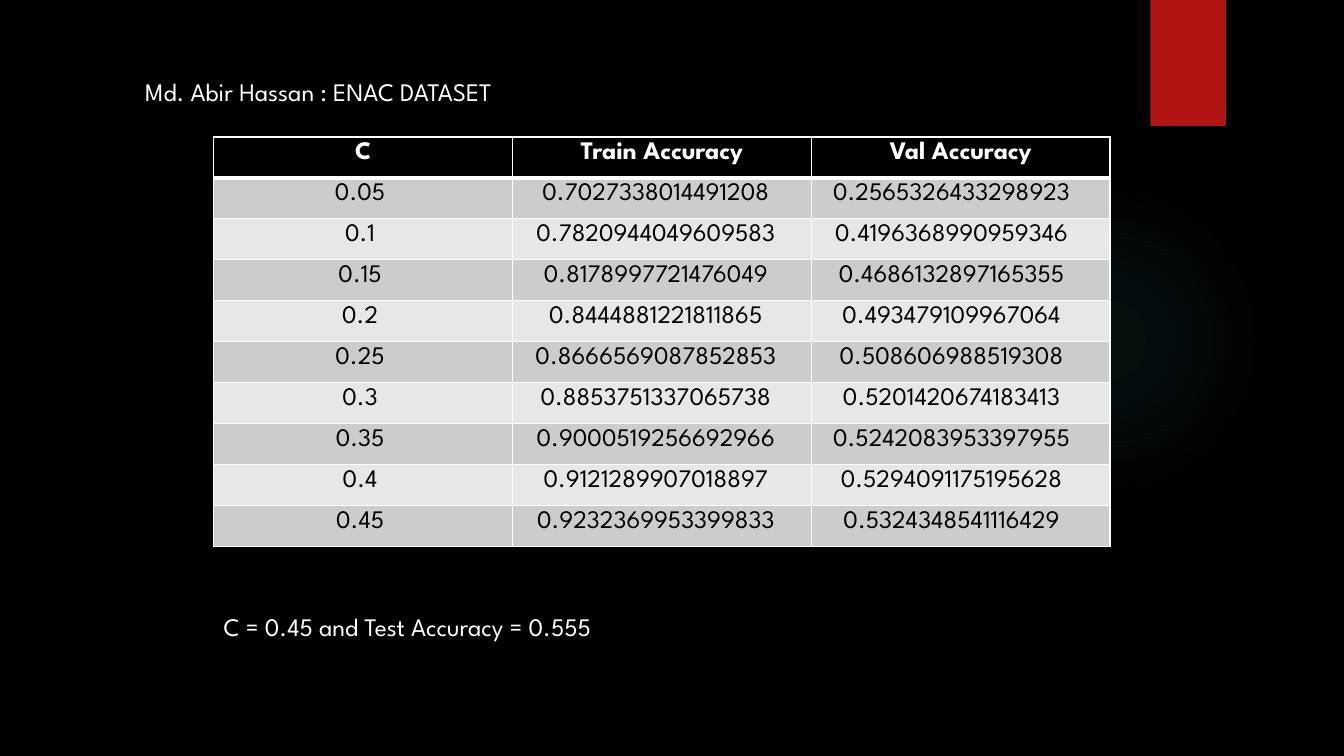
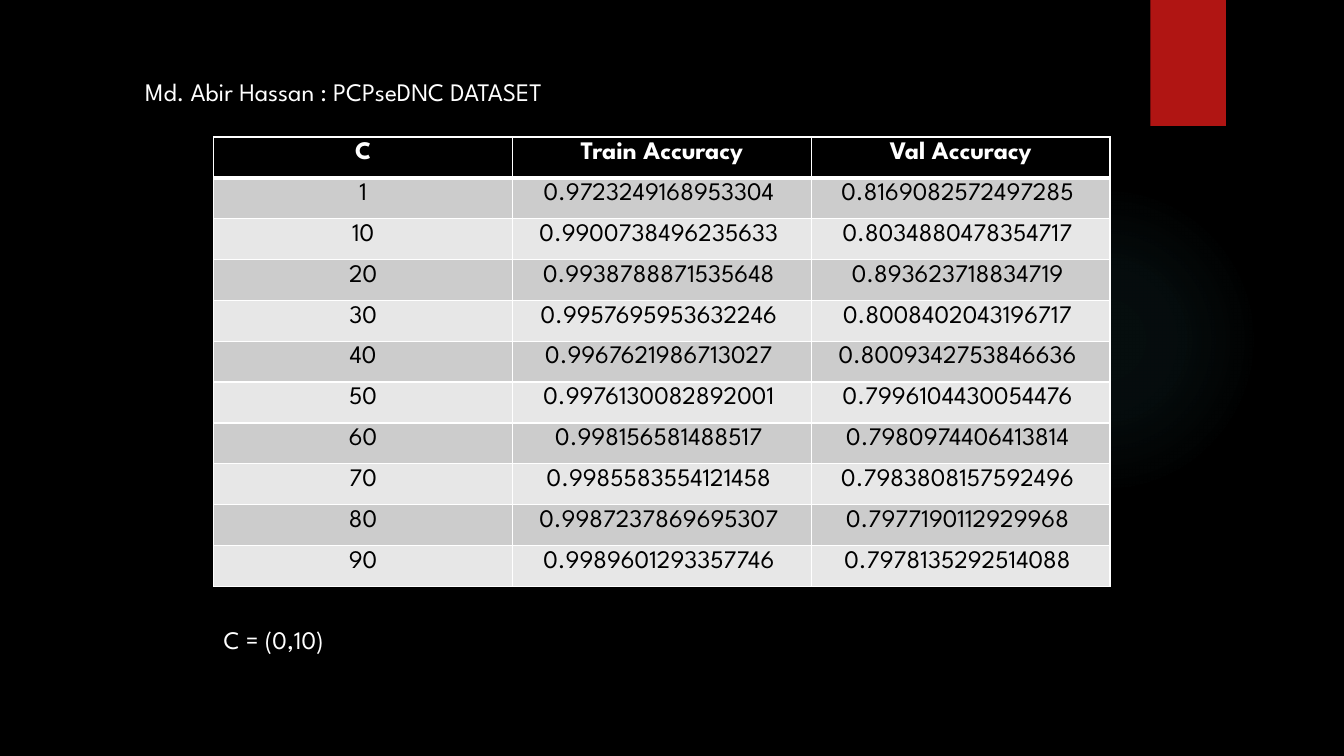
from dataclasses import dataclass

from lxml import etree
from pptx import Presentation
from pptx import util as u
from pptx.dml import color
from pptx.enum import shapes, text
from pptx.oxml import ns


@dataclass(frozen=True)
class Theme:
    font: str = "League Spartan"
    size: int = 18
    back: str = "000000"
    light: str = "FFFFFF"
    dark: str = "000000"
    accent: str = "B01513"
    glow: str = "50B9C1"
    bands: tuple = ("CCCCCC", "E7E7E7")
    line: int = 1
    heavy_line: int = 3


THEME = Theme()
TABLE_LEFT = 2.12
HEADER = ("C", "Train Accuracy", "Val Accuracy")

ENAC_ROWS = (
    ("0.05", "0.7027338014491208", "0.2565326433298923"),
    ("0.1", "0.7820944049609583", "0.4196368990959346"),
    ("0.15", "0.8178997721476049", "0.4686132897165355"),
    ("0.2", "0.8444881221811865", "0.493479109967064"),
    ("0.25", "0.8666569087852853", "0.508606988519308"),
    ("0.3", "0.8853751337065738", "0.5201420674183413"),
    ("0.35", "0.9000519256692966", "0.5242083953397955"),
    ("0.4", "0.9121289907018897", "0.5294091175195628"),
    ("0.45", "0.9232369953399833", "0.5324348541116429"),
)
PCPSEDNC_ROWS = (
    ("1", "0.9723249168953304", "0.8169082572497285"),
    ("10", "0.9900738496235633", "0.8034880478354717"),
    ("20", "0.9938788871535648", "0.893623718834719"),
    ("30", "0.9957695953632246", "0.8008402043196717"),
    ("40", "0.9967621986713027", "0.8009342753846636"),
    ("50", "0.9976130082892001", "0.7996104430054476"),
    ("60", "0.998156581488517", "0.7980974406413814"),
    ("70", "0.9985583554121458", "0.7983808157592496"),
    ("80", "0.9987237869695307", "0.7977190112929968"),
    ("90", "0.9989601293357746", "0.7978135292514088"),
)


def rgb(value):
    return color.RGBColor.from_string(value)


def inches(*lengths):
    return [u.Inches(length) for length in lengths]


def add_node(parent, tag, **attributes):
    return etree.SubElement(parent, ns.qn(tag), {k: str(v) for k, v in attributes.items()})


# Text
def write(frame, words, ink=THEME.light, bold=False, align=text.PP_ALIGN.LEFT):
    para = frame.paragraphs[0]
    para.alignment = align
    span = para.add_run()
    span.text = words
    span.font.name = THEME.font
    span.font.size = u.Pt(THEME.size)
    span.font.bold = bold
    span.font.color.rgb = rgb(ink)


def fill_box(box, words, left, top, width):
    box.left, box.top, box.width, box.height = inches(left, top, width, 0.4)
    frame = box.text_frame
    frame.word_wrap = True
    frame.auto_size = text.MSO_AUTO_SIZE.SHAPE_TO_FIT_TEXT
    frame.vertical_anchor = text.MSO_ANCHOR.TOP
    write(frame, words)


# Shared background, glow and red tab
def add_plain_shape(page, kind, left, top, width, height, fill):
    shape = page.shapes.add_shape(kind, *inches(left, top, width, height))
    shape.shadow.inherit = False
    shape.line.fill.background()
    shape.fill.solid()
    shape.fill.fore_color.rgb = rgb(fill)
    return shape


def fade_from_centre(shape, tint, stops):
    gradient = etree.Element(ns.qn("a:gradFill"), rotWithShape="1")
    stop_list = add_node(gradient, "a:gsLst")
    for position, opacity in stops:
        stop = add_node(stop_list, "a:gs", pos=position * 1000)
        add_node(add_node(stop, "a:srgbClr", val=tint), "a:alpha", val=opacity * 1000)
    circle = add_node(gradient, "a:path", path="circle")
    add_node(circle, "a:fillToRect", l=50000, t=50000, r=50000, b=50000)
    properties = shape.element.spPr
    properties.replace(properties.find(ns.qn("a:solidFill")), gradient)


def decorate_layout(layout, page):
    """Draw the shared shapes on a page, then move them to its layout."""
    fill = layout.background.fill
    fill.solid()
    fill.fore_color.rgb = rgb(THEME.back)
    glow = add_plain_shape(page, shapes.MSO_SHAPE.OVAL, 9.41, 1.83, 3.08, 3.08, THEME.glow)
    fade_from_centre(glow, THEME.glow, ((0, 7), (36, 6), (69, 0)))
    tab = add_plain_shape(page, shapes.MSO_SHAPE.RECTANGLE, 11.41, 0, 0.75, 1.25, THEME.accent)
    for shape in (glow, tab):
        layout.shapes.element.append(shape.element)


# Accuracy table
def add_borders(cell, widths):
    properties = cell._tc.get_or_add_tcPr()
    for side, width in zip("LRTB", widths):
        line = add_node(properties, f"a:ln{side}", w=u.Pt(width))
        add_node(add_node(line, "a:solidFill"), "a:srgbClr", val=THEME.light)


def format_cell(cell, words, row, inset):
    thin, heavy = THEME.line, THEME.heavy_line
    is_header = row == 0
    add_borders(cell, (thin, thin, heavy if row == 1 else thin, heavy if is_header else thin))
    cell.fill.solid()
    cell.fill.fore_color.rgb = rgb(THEME.dark if is_header else THEME.bands[(row - 1) % 2])
    if not is_header:
        cell.margin_right = u.Inches(0.1 + inset)
    write(cell.text_frame, words, THEME.light if is_header else THEME.dark,
          is_header, text.PP_ALIGN.CENTER)


def add_accuracy_table(page, rows, height, insets):
    lines = (HEADER, *rows)
    frame = page.shapes.add_table(len(lines), len(HEADER),
                                  *inches(TABLE_LEFT, 1.36, 8.89, height))
    for row, values in enumerate(lines):
        for column, words in enumerate(values):
            format_cell(frame.table.cell(row, column), words, row, insets[column])


def fill_page(page, title, title_width, rows, height, insets, note, note_top, note_width):
    fill_box(page.shapes.title, title, 1.34, 0.71, title_width)
    add_accuracy_table(page, rows, height, insets)
    note_box = page.shapes.add_textbox(*inches(0, 0, 1, 1))
    fill_box(note_box, note, TABLE_LEFT, note_top, note_width)


def main():
    deck = Presentation()
    deck.slide_width, deck.slide_height = inches(13.33, 7.5)
    layout = deck.slide_layouts.get_by_name("Title Only")
    enac_page, pcpsednc_page = [deck.slides.add_slide(layout) for _ in range(2)]
    decorate_layout(layout, enac_page)

    fill_page(enac_page, "Md. Abir Hassan : ENAC DATASET", 5.22,
              ENAC_ROWS, 4.06, (0.06, 0.12, 0.18),
              "C = 0.45 and Test Accuracy = 0.555", 6.02, 5.12)
    fill_page(pcpsednc_page, "Md. Abir Hassan : PCPseDNC DATASET", 7.87,
              PCPSEDNC_ROWS, 4.46, (0, 0.06, 0.06),
              "C = (0,10)", 6.14, 2.85)
    deck.save("out.pptx")


main()
